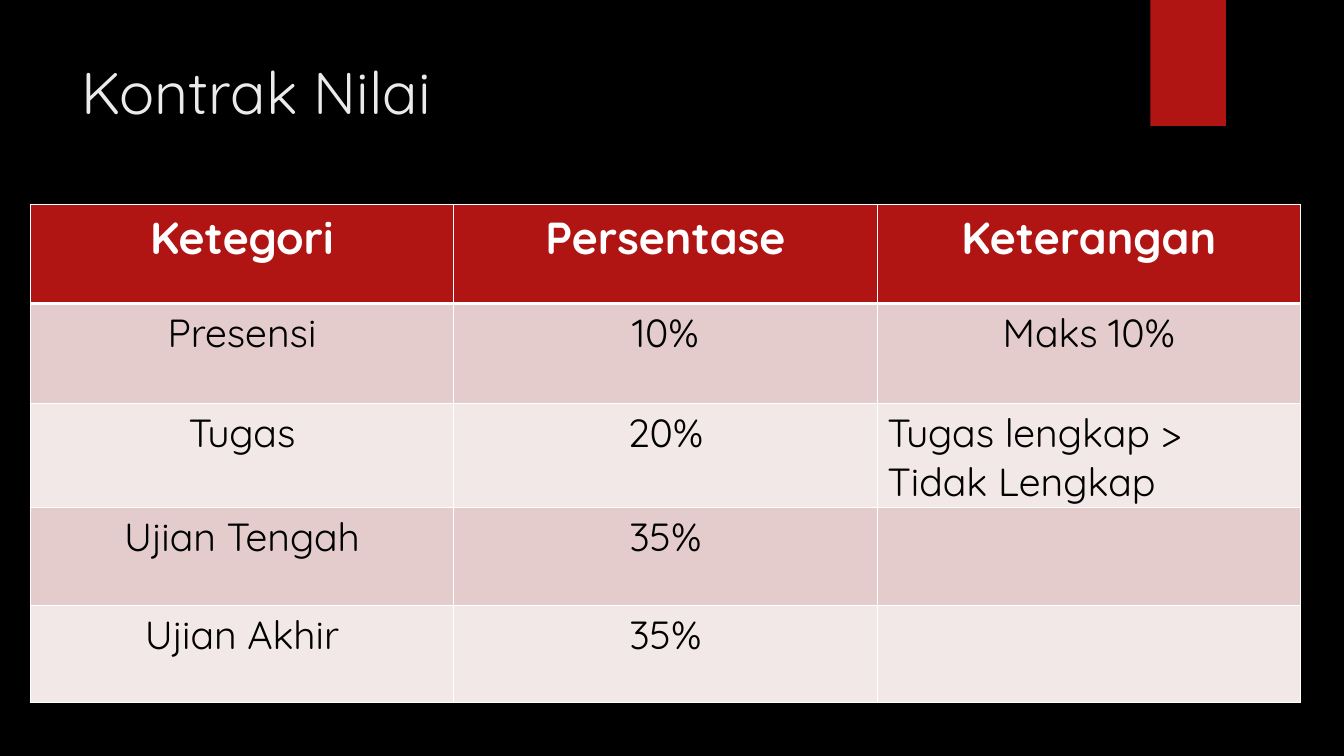
from dataclasses import dataclass

from lxml.etree import SubElement
from pptx import Presentation
from pptx.dml.color import RGBColor
from pptx.enum.shapes import MSO_SHAPE
from pptx.enum.text import PP_ALIGN
from pptx.oxml.ns import qn
from pptx.util import Inches, Pt


@dataclass(frozen=True)
class Theme:
    font: str = "Quicksand"
    background: RGBColor = RGBColor.from_string("000000")
    accent: RGBColor = RGBColor.from_string("B01513")
    title: RGBColor = RGBColor.from_string("EBEBEB")
    header_text: RGBColor = RGBColor.from_string("FFFFFF")
    body_text: RGBColor = RGBColor.from_string("000000")
    bands: tuple = (RGBColor.from_string("E4CCCC"), RGBColor.from_string("F2E8E7"))
    border: RGBColor = RGBColor.from_string("FFFFFF")
    title_size: int = 42
    header_size: int = 32
    body_size: int = 28
    thin_border: int = 1
    thick_border: int = 3


THEME = Theme()

GRADE_ROWS = [
    ("Ketegori", "Persentase", "Keterangan"),
    ("Presensi", "10%", "Maks 10%"),
    ("Tugas", "20%", "Tugas lengkap > Tidak Lengkap"),
    ("Ujian Tengah", "35%", ""),
    ("Ujian Akhir", "35%", ""),
]
ROW_HEIGHTS = (0.98, 0.99, 0.95, 0.97, 0.97)
COLUMN_WIDTH = 4.2
LEFT_ALIGNED_CELL = (2, 2)


def style_paragraph(paragraph, size, color, bold=False, alignment=PP_ALIGN.LEFT):
    paragraph.alignment = alignment
    paragraph.font.name = THEME.font
    paragraph.font.size = Pt(size)
    paragraph.font.bold = bold
    paragraph.font.color.rgb = color


def add_title(slide, text):
    box = slide.shapes.add_textbox(Inches(0.71), Inches(0.5), Inches(10.29), Inches(1.53))
    box.text_frame.word_wrap = True
    box.text_frame.text = text
    style_paragraph(box.text_frame.paragraphs[0], THEME.title_size, THEME.title)


def add_ribbon(slide):
    ribbon = slide.shapes.add_shape(
        MSO_SHAPE.RECTANGLE, Inches(11.41), Inches(0), Inches(0.75), Inches(1.25)
    )
    ribbon.shadow.inherit = False
    ribbon.fill.solid()
    ribbon.fill.fore_color.rgb = THEME.accent
    ribbon.line.fill.background()


def set_borders(cell, top, bottom):
    """Draw the four cell edges; must run before the cell fill is set."""
    properties = cell._tc.get_or_add_tcPr()
    widths = {"L": THEME.thin_border, "R": THEME.thin_border, "T": top, "B": bottom}
    for side, width in widths.items():
        line = SubElement(properties, qn(f"a:ln{side}"), w=str(Pt(width)))
        fill = SubElement(line, qn("a:solidFill"))
        SubElement(fill, qn("a:srgbClr"), val=str(THEME.border))


def fill_cell(cell, row, column, text):
    is_header = row == 0
    set_borders(
        cell,
        top=THEME.thick_border if row == 1 else THEME.thin_border,
        bottom=THEME.thick_border if is_header else THEME.thin_border,
    )
    cell.fill.solid()
    cell.fill.fore_color.rgb = THEME.accent if is_header else THEME.bands[(row - 1) % 2]
    if not text:
        return
    cell.text = text
    style_paragraph(
        cell.text_frame.paragraphs[0],
        THEME.header_size if is_header else THEME.body_size,
        THEME.header_text if is_header else THEME.body_text,
        bold=is_header,
        alignment=PP_ALIGN.LEFT if (row, column) == LEFT_ALIGNED_CELL else PP_ALIGN.CENTER,
    )


def add_grade_table(slide):
    column_count = len(GRADE_ROWS[0])
    table = slide.shapes.add_table(
        len(GRADE_ROWS), column_count, Inches(0.3), Inches(2.03),
        Inches(COLUMN_WIDTH * column_count), Inches(sum(ROW_HEIGHTS)),
    ).table
    for column in table.columns:
        column.width = Inches(COLUMN_WIDTH)
    for row, (height, texts) in enumerate(zip(ROW_HEIGHTS, GRADE_ROWS)):
        table.rows[row].height = Inches(height)
        for column, text in enumerate(texts):
            fill_cell(table.cell(row, column), row, column, text)


def main():
    presentation = Presentation()
    presentation.slide_width = Inches(13.33)
    presentation.slide_height = Inches(7.5)
    slide = presentation.slides.add_slide(presentation.slide_layouts[6])
    slide.background.fill.solid()
    slide.background.fill.fore_color.rgb = THEME.background
    add_ribbon(slide)
    add_title(slide, "Kontrak Nilai")
    add_grade_table(slide)
    presentation.save("out.pptx")


if __name__ == "__main__":
    main()
